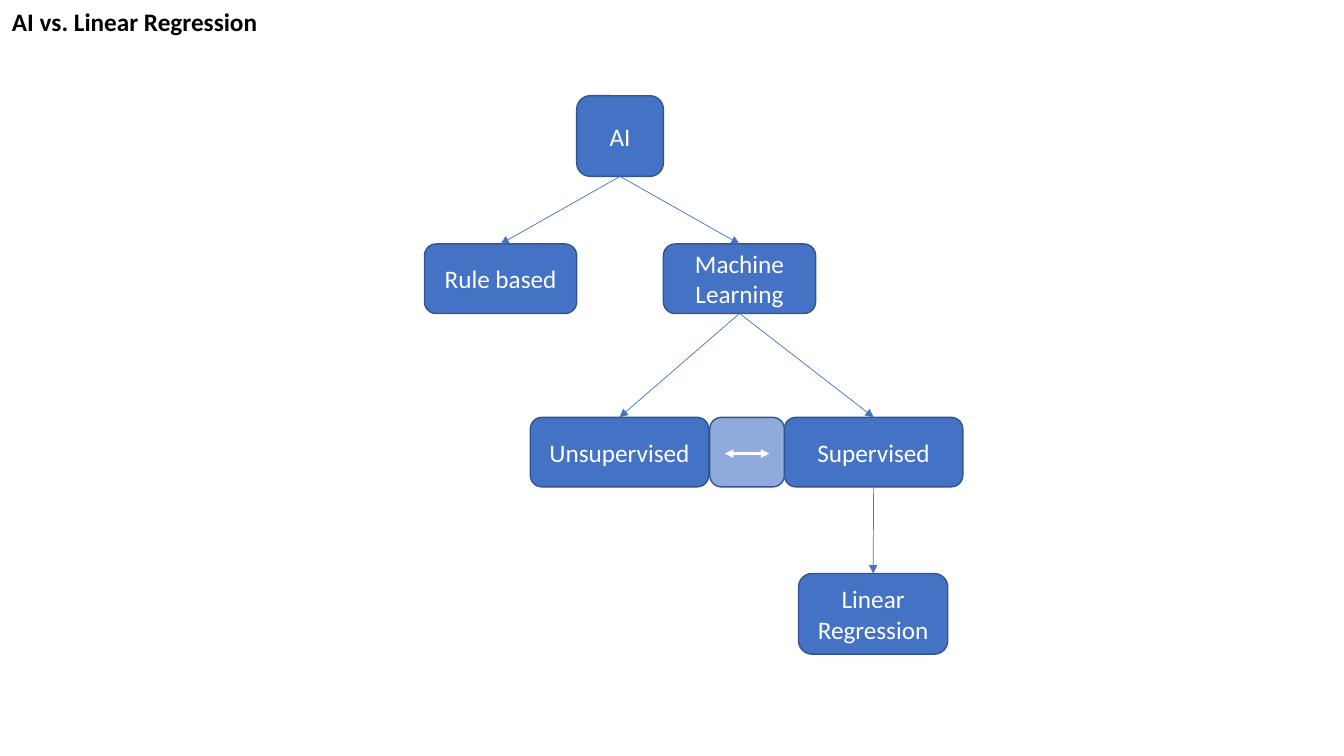
from lxml import etree
from pptx import Presentation
from pptx import util as u
from pptx.dml.color import RGBColor
from pptx.enum import shapes, text
from pptx.oxml.ns import qn

BLUE, EDGE, PALE, WHITE = "4472C4", "325491", "8FAADC", "FFFFFF"
TOP, BOTTOM = 0, 2  # connection sites of a rounded rectangle

deck = Presentation()
deck.slide_width, deck.slide_height = u.Inches(13.33), u.Inches(7.5)
slide = deck.slides.add_slide(deck.slide_layouts[6])


def write(frame, words, color=WHITE, bold=False, align=text.PP_ALIGN.CENTER, wrap=True):
    frame.word_wrap = wrap
    frame.vertical_anchor = text.MSO_ANCHOR.MIDDLE if wrap else text.MSO_ANCHOR.TOP
    paragraph = frame.paragraphs[0]
    paragraph.alignment = align
    run = paragraph.add_run()
    run.text = words
    run.font.name, run.font.size, run.font.bold = "Calibri", u.Pt(18), bold
    run.font.color.rgb = RGBColor.from_string(color)


def style_arrow(arrow, color, width, ends):
    arrow.line.color.rgb = RGBColor.from_string(color)
    arrow.line.width = u.Pt(width)
    outline = arrow.line._get_or_add_ln()
    for end in ends:
        etree.SubElement(outline, qn(f"a:{end}"), type="triangle")
    etree.SubElement(arrow._element.spPr, qn("a:effectLst"))


# Tree nodes: label, left, top, width, height, fill
nodes = [
    ("AI", 5.72, 0.95, 0.86, 0.8, BLUE),
    ("Rule based", 4.21, 2.42, 1.51, 0.69, BLUE),
    ("Machine Learning", 6.58, 2.42, 1.51, 0.69, BLUE),
    ("Unsupervised", 5.26, 4.14, 1.77, 0.69, BLUE),
    ("Supervised", 7.78, 4.14, 1.77, 0.69, BLUE),
    ("", 7.04, 4.14, 0.74, 0.69, PALE),
    ("Linear Regression", 7.92, 5.69, 1.48, 0.8, BLUE),
]
tree = {}
for label, left, top, width, height, fill in nodes:
    node = slide.shapes.add_shape(
        shapes.MSO_SHAPE.ROUNDED_RECTANGLE,
        u.Inches(left), u.Inches(top), u.Inches(width), u.Inches(height))
    node.shadow.inherit = False
    node.fill.solid()
    node.fill.fore_color.rgb = RGBColor.from_string(fill)
    node.line.color.rgb = RGBColor.from_string(EDGE)
    node.line.width = u.Pt(1)
    if label:
        write(node.text_frame, label)
    tree[label] = node

# Two-way arrow between unsupervised and supervised
exchange = slide.shapes.add_connector(
    shapes.MSO_CONNECTOR.STRAIGHT,
    u.Inches(7.19), u.Inches(4.5), u.Inches(7.63), u.Inches(4.5))
style_arrow(exchange, WHITE, 2, ["headEnd", "tailEnd"])

# Branches from parent to child
branches = [
    ("AI", "Rule based"),
    ("AI", "Machine Learning"),
    ("Machine Learning", "Unsupervised"),
    ("Machine Learning", "Supervised"),
    ("Supervised", "Linear Regression"),
]
for parent, child in branches:
    branch = slide.shapes.add_connector(shapes.MSO_CONNECTOR.STRAIGHT, 0, 0, 0, 0)
    branch.begin_connect(tree[parent], BOTTOM)
    branch.end_connect(tree[child], TOP)
    style_arrow(branch, BLUE, 0.5, ["tailEnd"])

title = slide.shapes.add_textbox(
    u.Inches(0.02), u.Inches(0.01), u.Inches(2.65), u.Inches(0.4))
title.text_frame.auto_size = text.MSO_AUTO_SIZE.SHAPE_TO_FIT_TEXT
write(title.text_frame, "AI vs. Linear Regression", color="000000", bold=True,
      align=text.PP_ALIGN.LEFT, wrap=False)

deck.save("out.pptx")
